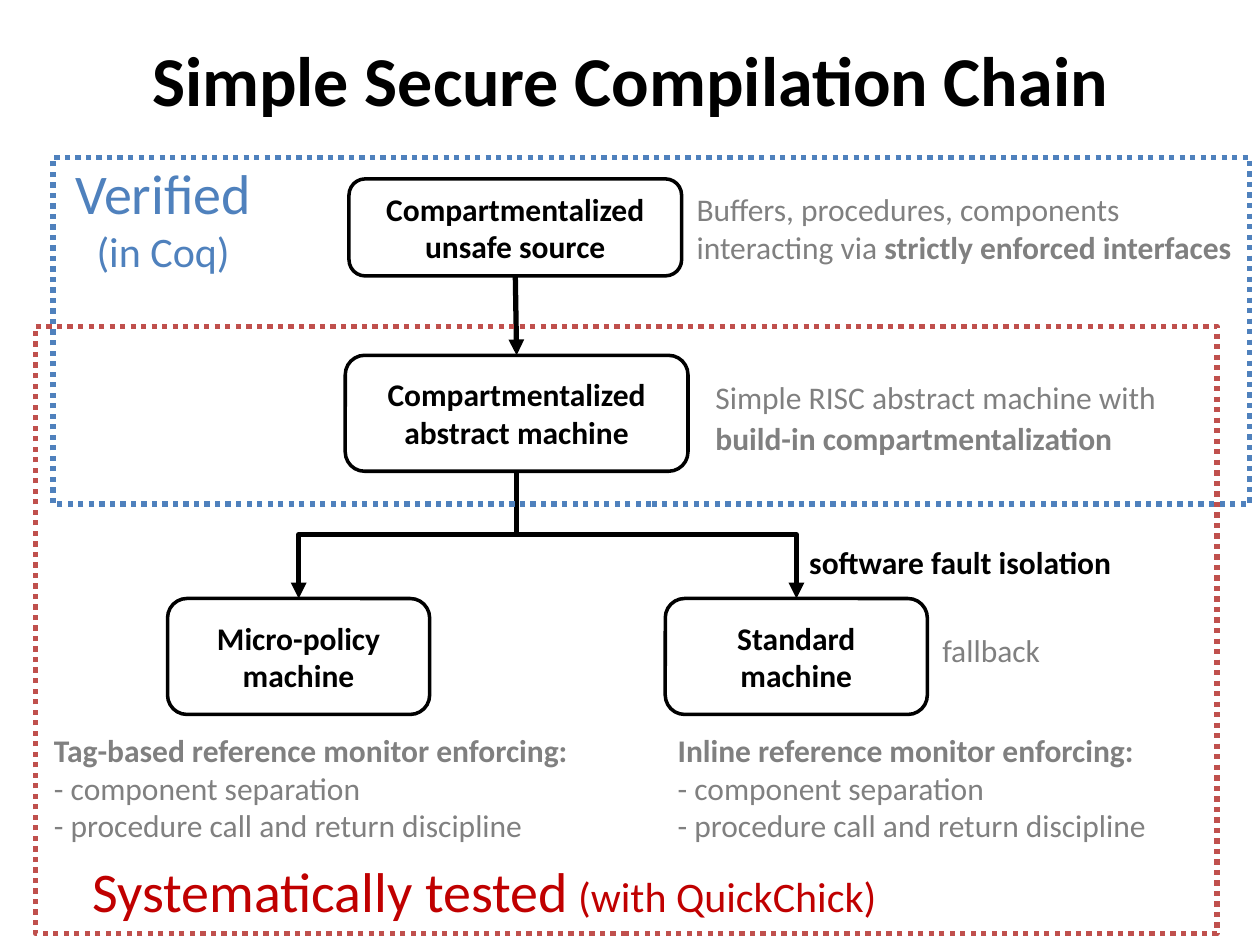
from dataclasses import dataclass

from pptx import Presentation
from pptx.dml.color import RGBColor
from pptx.enum.dml import MSO_LINE
from pptx.enum.shapes import MSO_CONNECTOR, MSO_SHAPE
from pptx.enum.text import MSO_ANCHOR, PP_ALIGN
from pptx.oxml.ns import qn
from pptx.util import Inches, Pt
from lxml import etree

COLUMNS, ROWS = 100, 75
CELL = Inches(10) // COLUMNS
FONT = "Calibri"
BLACK, GREY, BLUE, RED, DARK_RED = "000000", "808080", "4F81BD", "C0504D", "C00000"
LEFT, CENTER, RIGHT = PP_ALIGN.LEFT, PP_ALIGN.CENTER, PP_ALIGN.RIGHT
TOP, MIDDLE = MSO_ANCHOR.TOP, MSO_ANCHOR.MIDDLE
ROUNDED, RECTANGLE = MSO_SHAPE.ROUNDED_RECTANGLE, MSO_SHAPE.RECTANGLE
STRAIGHT, ELBOW = MSO_CONNECTOR.STRAIGHT, MSO_CONNECTOR.ELBOW
DOTTED = MSO_LINE.ROUND_DOT
TOP_SITE, BOTTOM_SITE = 0, 2
MONITOR_DUTIES = ["- component separation", "- procedure call and return discipline"]


@dataclass
class Box:
    """An area in grid cells."""
    x: float
    y: float
    width: float
    height: float

    def area(self, x, y, width, height):
        return Box(self.x + x, self.y + y, width, height)

    def emu(self):
        return [round(value * CELL) for value in (self.x, self.y, self.width, self.height)]


def rgb(color):
    return RGBColor.from_string(color)


def write(shape, paragraphs, size=18, color=BLACK, bold=False, align=LEFT,
          anchor=TOP, wrap=True, spacing=None):
    """Each paragraph is a string or a list of (text, run format) pairs."""
    frame = shape.text_frame
    frame.word_wrap = wrap
    frame.vertical_anchor = anchor
    for index, content in enumerate(paragraphs):
        paragraph = frame.paragraphs[0] if index == 0 else frame.add_paragraph()
        paragraph.alignment = align
        if spacing:
            paragraph.line_spacing = spacing
        runs = [(content, {})] if isinstance(content, str) else content
        for text, changes in runs:
            run = paragraph.add_run()
            run.text = text
            run.font.name = FONT
            run.font.size = Pt(changes.get("size", size))
            run.font.bold = changes.get("bold", bold)
            run.font.color.rgb = rgb(color)


def add_text(slide, box, paragraphs, **text_format):
    write(slide.shapes.add_textbox(*box.emu()), paragraphs, **text_format)


def add_outline(slide, box, kind, color, weight):
    shape = slide.shapes.add_shape(kind, *box.emu())
    shape.shadow.inherit = False
    shape.fill.background()
    shape.line.color.rgb = rgb(color)
    shape.line.width = Pt(weight)
    return shape


def add_node(slide, box, paragraphs):
    node = add_outline(slide, box, ROUNDED, BLACK, 2)
    write(node, paragraphs, bold=True, align=CENTER, anchor=MIDDLE)
    return node


def turn_downward(connector, start, end):
    """Rotate an elbow so that it leaves and arrives vertically."""
    drop, shift = end[1] - start[1], abs(end[0] - start[0])
    connector.left = (start[0] + end[0] - drop) // 2
    connector.top = (start[1] + end[1] - shift) // 2
    connector.width, connector.height = drop, shift
    transform = connector._element.spPr.find(qn("a:xfrm"))
    goes_right = end[0] > start[0]
    transform.set("rot", str((270 if goes_right else 90) * 60000))
    transform.set("flipH", "1" if goes_right else "0")
    transform.set("flipV", "0")


def add_arrow(slide, upper, lower, kind=STRAIGHT):
    start = (upper.left + upper.width // 2, upper.top + upper.height)
    end = (lower.left + lower.width // 2, lower.top)
    connector = slide.shapes.add_connector(kind, *start, *end)
    connector.begin_connect(upper, BOTTOM_SITE)
    connector.end_connect(lower, TOP_SITE)
    if kind == ELBOW:
        turn_downward(connector, start, end)
    connector.line.color.rgb = rgb(BLACK)
    connector.line.width = Pt(3)
    properties = connector._element.spPr
    etree.SubElement(properties.find(qn("a:ln")), qn("a:tailEnd"), type="triangle")
    etree.SubElement(properties, qn("a:effectLst"))


def draw_title(slide, box):
    add_text(slide, box, ["Simple Secure Compilation Chain"], size=40, bold=True,
             align=CENTER, anchor=MIDDLE)


def draw_languages(slide, box):
    """Source language above the abstract machine; returns the latter's node."""
    source = add_node(slide, box.area(0.3, 0, 26.4, 7.7), ["Compartmentalized unsafe source"])
    machine = add_node(slide, box.area(0, 14, 27.2, 9.2), ["Compartmentalized abstract machine"])
    add_arrow(slide, source, machine)
    add_text(slide, box.area(26.9, 0.4, 44.9, 7.1), [
        "Buffers, procedures, components",
        [("interacting via ", {}), ("strictly enforced interfaces", {"bold": True})],
    ], color=GREY, wrap=False)
    add_text(slide, box.area(28.4, 15, 37.4, 7.7), [
        "Simple RISC abstract machine with",
        [("build-in compartmentalization", {"bold": True})],
    ], color=GREY, wrap=False, spacing=1.1)
    return machine


def draw_target(slide, box, indent, name, monitor, parent):
    """Target machine with its monitor's duties below, reached from parent."""
    node = add_node(slide, box.area(indent, 0, 20.8, 9.2), name)
    add_arrow(slide, parent, node, ELBOW)
    heading = [(f"{monitor} reference monitor enforcing:", {"bold": True})]
    add_text(slide, box.area(0, 10, box.width, 10.1), [heading, *MONITOR_DUTIES], color=GREY)


def draw_isolation_labels(slide, box):
    add_text(slide, box.area(0, 0, 26.3, 4), ["software fault isolation"],
             bold=True, align=RIGHT, wrap=False)
    add_text(slide, box.area(10.9, 7, 9.9, 4), ["fallback"], color=GREY, wrap=False)


def draw_scope(slide, box, color, label_box, label, label_color):
    """Dotted frame with its label."""
    add_outline(slide, box, RECTANGLE, color, 3).line.dash_style = DOTTED
    add_text(slide, label_box, label, size=32, color=label_color, align=CENTER)


def main():
    presentation = Presentation()
    presentation.slide_width, presentation.slide_height = COLUMNS * CELL, ROWS * CELL
    slide = presentation.slides.add_slide(presentation.slide_layouts[6])

    draw_title(slide, Box(5, 0, 90, 12.5))
    machine = draw_languages(slide, Box(27.4, 14.2, 72, 23.2))
    draw_target(slide, Box(3.3, 47.5, 43.3, 20.1), 10,
                ["Micro-policy machine"], "Tag-based", machine)
    draw_target(slide, Box(52.8, 47.5, 39.7, 20.1), 0,
                ["Standard", "machine"], "Inline", machine)
    draw_isolation_labels(slide, Box(62.9, 42.6, 26.3, 11))

    verified = Box(4.2, 12.5, 95, 27.5)
    draw_scope(slide, verified, BLUE, verified.area(0, -0.4, 17.5, 10.4),
               ["Verified", [("(in Coq)", {"size": 24})]], BLUE)
    tested = Box(2.8, 25.9, 93.8, 48.2)
    draw_scope(slide, tested, RED, tested.area(3, 41.6, 65.3, 6.4),
               [[("Systematically tested", {}), (" (with QuickChick)", {"size": 24})]], DARK_RED)

    presentation.save("out.pptx")


if __name__ == "__main__":
    main()
